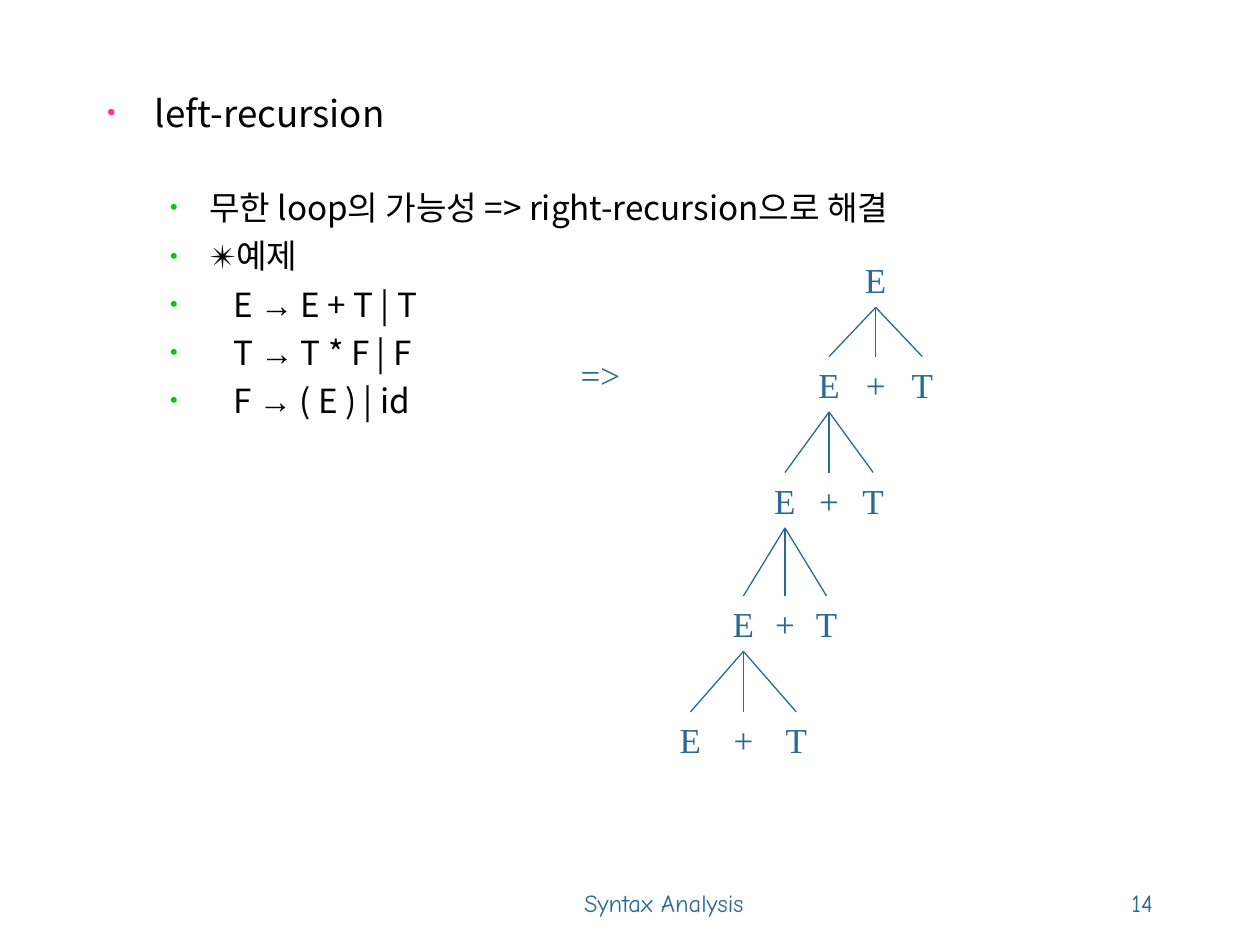
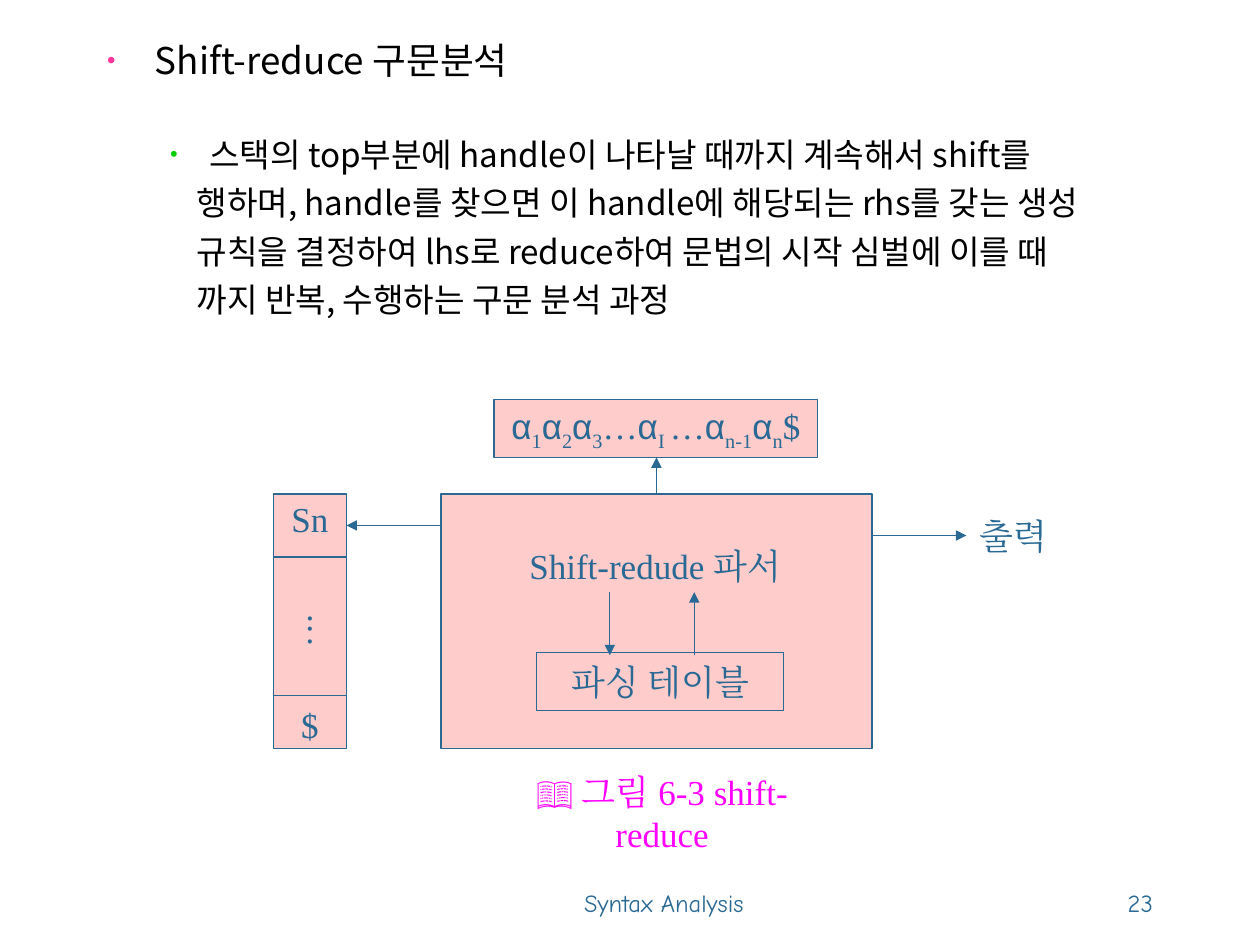
"""Build two syntax analysis slides: left recursion and the shift-reduce parser."""
from lxml.etree import SubElement
from pptx import Presentation
from pptx.dml.color import RGBColor
from pptx.enum.shapes import MSO_CONNECTOR as Connector, MSO_SHAPE as Preset
from pptx.enum.text import MSO_ANCHOR as Anchor, MSO_AUTO_SIZE as AutoSize, PP_ALIGN as Align
from pptx.oxml.ns import qn
from pptx.util import Inches, Pt

BLUE = RGBColor(0x2A, 0x69, 0x94)
ROSE = RGBColor(0xFF, 0xCC, 0xCC)
MAGENTA = RGBColor(0xFF, 0x00, 0xFF)
BLACK = RGBColor(0x00, 0x00, 0x00)
PINK_BULLET = RGBColor(0xFF, 0x33, 0x99)
GREEN_BULLET = RGBColor(0x00, 0xCC, 0x00)

SANS, SERIF, SYMBOL, HAND = "Noto Sans CJK KR", "Times New Roman", "Arial", "Comic Neue"
FRAME = {"auto_size": AutoSize.NONE, "vertical_anchor": Anchor.MIDDLE, "word_wrap": False}
LABEL = {"alignment": Align.CENTER, "space_before": Pt(5)}
NODE_HEIGHT = 0.44

HEADING = {"level": 0, "margin": 0.38, "indent": -0.38, "bullet": PINK_BULLET,
           "size": 21, "before": 5.2}
ITEM = {"level": 1, "margin": 0.81, "indent": -0.31, "bullet": GREEN_BULLET,
        "size": 19, "before": 4.8}
FIRST_ITEM = ITEM | {"before": 30}
RULE = ITEM | {"margin": 1, "indent": -0.5}
CONTINUATION = ITEM | {"margin": 0.71, "indent": 0, "bullet": None}


def apply_format(target, values):
    """Set each attribute named in values on the target."""
    for name, value in values.items():
        setattr(target, name, value)


def add_run(paragraph, text, size=20, font=SERIF, color=BLUE, baseline=None):
    """Append a run with one font for Latin and Korean text."""
    run = paragraph.add_run()
    run.text = text
    apply_format(run.font, {"size": Pt(size), "name": font})
    run.font.color.rgb = color
    properties = run.font._element
    SubElement(properties, qn("a:ea")).set("typeface", font)
    if baseline:
        properties.set("baseline", str(baseline))


def set_bullet(paragraph, style):
    """Give a paragraph its indents and its coloured bullet."""
    properties = paragraph._p.get_or_add_pPr()
    properties.set("marL", str(Inches(style["margin"])))
    properties.set("indent", str(Inches(style["indent"])))
    if style["bullet"] is None:
        SubElement(properties, qn("a:buNone"))
        return
    tint = SubElement(properties, qn("a:buClr"))
    SubElement(tint, qn("a:srgbClr")).set("val", str(style["bullet"]))
    SubElement(properties, qn("a:buSzPct")).set("val", "65000")
    SubElement(properties, qn("a:buFont")).set("typeface", SYMBOL)
    SubElement(properties, qn("a:buChar")).set("char", "•")


def fill_outline(slide, box, entries):
    """Place the body placeholder and write its styled entries."""
    body = slide.placeholders[1]
    apply_format(body, dict(zip(("left", "top", "width", "height"), map(Inches, box))))
    frame = body.text_frame
    apply_format(frame, FRAME | {"vertical_anchor": Anchor.TOP, "word_wrap": True})
    for index, (text, style) in enumerate(entries):
        paragraph = frame.add_paragraph() if index else frame.paragraphs[0]
        apply_format(paragraph, {"level": style["level"], "space_before": Pt(style["before"])})
        set_bullet(paragraph, style)
        before, arrow, after = text.partition("→")
        for part, font in ((before, SANS), (arrow, SYMBOL), (after, SANS)):
            if part:
                add_run(paragraph, part, style["size"], font, BLACK)


def add_label(shapes, text, box, **format_values):
    """Add a centred one-line text box."""
    label = shapes.add_textbox(*map(Inches, box))
    apply_format(label.text_frame, FRAME)
    paragraph = label.text_frame.paragraphs[0]
    apply_format(paragraph, LABEL)
    add_run(paragraph, text, **format_values)
    return label


def add_box(slide, box):
    """Add a rose rectangle with a blue outline."""
    panel = slide.shapes.add_shape(Preset.RECTANGLE, *map(Inches, box))
    panel.shadow.inherit = False
    panel.fill.solid()
    panel.fill.fore_color.rgb = ROSE
    panel.line.color.rgb = BLUE
    panel.line.width = Pt(0.74)
    apply_format(panel.text_frame, FRAME)
    apply_format(panel.text_frame.paragraphs[0], LABEL)
    return panel.text_frame


def add_line(shapes, start, end, arrow=False):
    """Draw a thin blue line, with an arrowhead at its end if asked."""
    line = shapes.add_connector(Connector.STRAIGHT, *map(Inches, (*start, *end)))
    line.line.color.rgb = BLUE
    line.line.width = Pt(0.74)
    if arrow:
        SubElement(line.line._get_or_add_ln(), qn("a:tailEnd")).set("type", "triangle")
    SubElement(line._element.spPr, qn("a:effectLst"))


def add_footer(slide, number):
    """Add the lecture name and the slide number."""
    for text, box, align, anchor in (
        ("Syntax Analysis", (2.87, 6.83, 4.8, 0.5), Align.CENTER, Anchor.BOTTOM),
        (str(number), (7.75, 7, 1.5, 0.33), Align.RIGHT, Anchor.TOP),
    ):
        footer = add_label(slide.shapes, text, box, size=14, font=HAND)
        apply_format(footer.text_frame, {"vertical_anchor": anchor, "word_wrap": True})
        apply_format(footer.text_frame.paragraphs[0],
                     {"alignment": align, "space_before": Pt(0)})


def add_slide(deck, number, box, entries):
    """Add a slide with an outline and a footer but no title."""
    slide = deck.slides.add_slide(deck.slide_layouts[1])
    title = slide.shapes.title._element
    title.getparent().remove(title)
    fill_outline(slide, box, entries)
    add_footer(slide, number)
    return slide


def add_node(shapes, symbol, center, top):
    """Add one grammar symbol of the parse tree."""
    width = 0.35 if symbol == "+" else 0.37
    add_label(shapes, symbol, (center - width / 2, top, width, NODE_HEIGHT))


def draw_parse_tree(slide):
    """Draw the tree that keeps expanding its leftmost E."""
    shapes = slide.shapes.add_group_shape().shapes
    add_label(shapes, "=>", (4.51, 2.75, 0.51, NODE_HEIGHT))
    center, top = 6.95, 2
    add_node(shapes, "E", center, top)
    for child_top, spread in ((2.83, 0.37), (3.75, 0.35), (4.73, 0.33), (5.65, 0.42)):
        for symbol, side in (("E", -1), ("+", 0), ("T", 1)):
            child = center + side * spread
            add_node(shapes, symbol, child, child_top)
            add_line(shapes, (center, top + NODE_HEIGHT), (child, child_top))
        center, top = center - spread, child_top


def draw_stack(slide):
    """Draw the parser stack with its top and bottom cells."""
    left, width = 2.17, 0.58
    stack = add_box(slide, (left, 3.92, width, 2.02))
    cells = (("Sn", 1.0, 5), (".", 1.5, 14.6), (":", 0.2, 5), ("$", 1.3, 26))
    for index, (text, spacing, before) in enumerate(cells):
        paragraph = stack.add_paragraph() if index else stack.paragraphs[0]
        apply_format(paragraph, LABEL | {"line_spacing": spacing, "space_before": Pt(before)})
        add_run(paragraph, text)
    for divider in (4.42, 5.52):
        add_line(slide.shapes, (left + width, divider), (left, divider))


def draw_input(slide):
    """Draw the input buffer with its subscripted symbols."""
    buffer = add_box(slide, (3.92, 3.17, 2.57, 0.46)).paragraphs[0]
    for subscript, following in (("1", ""), ("2", ""), ("3", "…"), ("I ", "…"),
                                 ("n-1", ""), ("n", "$")):
        add_run(buffer, "α", font=SYMBOL)
        if subscript == "3":
            add_run(buffer, subscript, baseline=-25000)
        else:
            add_run(buffer, subscript, baseline=-25000)
        if following:
            add_run(buffer, following)


def draw_parser(slide):
    """Draw the shift-reduce parser with stack, input, table and output."""
    add_box(slide, (3.5, 3.92, 3.42, 2.02))
    draw_input(slide)
    table = add_box(slide, (4.26, 5.18, 1.96, 0.46))
    add_run(table.paragraphs[0], "파싱 테이블")
    add_label(slide.shapes, "Shift-redude 파서", (4.08, 4.27, 2.24, 0.44))
    draw_stack(slide)
    add_label(slide.shapes, "출력", (7.69, 4.03, 0.71, 0.44))
    for start, end in (
        ((3.5, 4.17), (2.75, 4.17)),
        ((5.21, 3.92), (5.21, 3.63)),
        ((6.92, 4.25), (7.67, 4.25)),
        ((4.84, 4.7), (4.84, 5.2)),
        ((5.51, 5.2), (5.51, 4.7)),
    ):
        add_line(slide.shapes, start, end, arrow=True)
    caption = add_label(slide.shapes, "📖", (3.87, 6.23, 2.77, 0.44),
                        font=SYMBOL, color=MAGENTA).text_frame
    caption.word_wrap = True
    add_run(caption.paragraphs[0], " 그림 6-3 shift-reduce", color=MAGENTA)


def main():
    """Build and save the deck."""
    deck = Presentation()
    apply_format(deck, {"slide_width": Inches(10), "slide_height": Inches(7.5)})
    recursion = add_slide(deck, 14, (0.75, 0.67, 8.5, 3.42), (
        ("left-recursion", HEADING),
        ("무한 loop의 가능성 => right-recursion으로 해결", FIRST_ITEM),
        ("✴예제", ITEM),
        ("E → E + T | T", RULE),
        ("T → T * F | F", RULE),
        ("F → ( E ) | id", RULE),
    ))
    draw_parse_tree(recursion)
    shift_reduce = add_slide(deck, 23, (0.75, 0.25, 9, 3.42), (
        ("Shift-reduce 구문분석", HEADING),
        ("스택의 top부분에 handle이 나타날 때까지 계속해서 shift를", FIRST_ITEM),
        ("행하며, handle를 찾으면 이 handle에 해당되는 rhs를 갖는 생성", CONTINUATION),
        ("규칙을 결정하여 lhs로 reduce하여 문법의 시작 심벌에 이를 때", CONTINUATION),
        ("까지 반복, 수행하는 구문 분석 과정", CONTINUATION),
    ))
    draw_parser(shift_reduce)
    deck.save("out.pptx")


if __name__ == "__main__":
    main()
